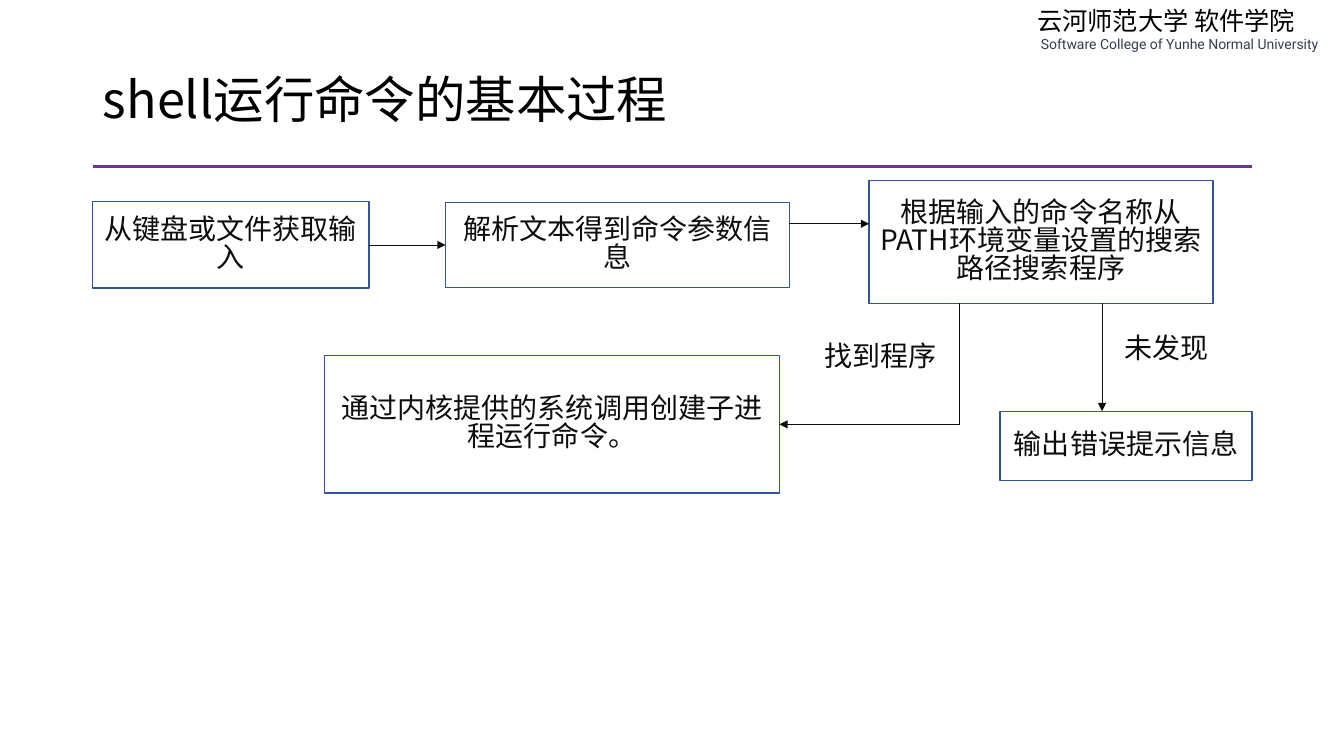
from dataclasses import dataclass

from lxml.etree import SubElement
from pptx import Presentation
from pptx.dml.color import RGBColor
from pptx.enum.shapes import MSO_CONNECTOR, MSO_SHAPE
from pptx.enum.text import MSO_ANCHOR, MSO_AUTO_SIZE, PP_ALIGN
from pptx.oxml.ns import qn
from pptx.util import Inches, Pt


@dataclass(frozen=True)
class Theme:
    black: str = "000000"
    ink: str = "0D0D0D"
    slate: str = "333F50"
    white: str = "FFFFFF"
    border: str = "325491"
    rule: str = "7030A0"
    font: str = "Noto Sans CJK SC"
    school_font: str = "Noto Sans CJK JP"
    english_font: str = "Roboto"
    title_size: int = 36
    box_size: int = 20
    school_size: int = 18
    english_size: int = 10
    tight_spacing: float = 0.84


theme = Theme()
CELL = Inches(0.1)  # side of one grid square


def format_paragraph(paragraph, font, size, color, spacing, align=PP_ALIGN.LEFT):
    paragraph.alignment = align
    paragraph.line_spacing = spacing
    for run in paragraph.runs:
        run.font.name = font
        run.font.size = Pt(size)
        run.font.color.rgb = RGBColor.from_string(color)
        SubElement(run.font._element, qn("a:ea"), typeface=font)


def add_line(slide, start, end, color, width, arrow=False):
    """Draw a straight line between two grid points, given as (column, row)."""
    points = [round(value * CELL) for value in (*start, *end)]
    connector = slide.shapes.add_connector(MSO_CONNECTOR.STRAIGHT, *points)
    connector.line.color.rgb = RGBColor.from_string(color)
    connector.line.width = Pt(width)
    if arrow:
        SubElement(connector.line._get_or_add_ln(), qn("a:tailEnd"), type="triangle")
    SubElement(connector._element.spPr, qn("a:effectLst"))


presentation = Presentation()
presentation.slide_width = Inches(13.33)
presentation.slide_height = Inches(7.5)
slide = presentation.slides.add_slide(presentation.slide_layouts[5])

# School name in the top right corner
school = slide.shapes.add_textbox(*(round(n * CELL) for n in (101.9, 0.5, 30.1, 5.7)))
school.text_frame.word_wrap = True
school.text_frame.text = "云河师范大学 软件学院\nSoftware College of Yunhe Normal University"
chinese_name, english_name = school.text_frame.paragraphs
format_paragraph(chinese_name, theme.school_font, theme.school_size, theme.black,
                 theme.tight_spacing)
format_paragraph(english_name, theme.english_font, theme.english_size, theme.slate, 1.0)
english_name._p.get_or_add_pPr().set("marL", str(Pt(2.5)))

# Title and the rule below it
LEFT, RIGHT = 9.2, 124.2
title = slide.shapes.title
title.left, title.top, title.width, title.height = (
    round(n * CELL) for n in (LEFT, 7.4, RIGHT - LEFT, 7.9))
title.text_frame.text = "shell运行命令的基本过程"
title.text_frame.auto_size = MSO_AUTO_SIZE.NONE
title.text_frame.vertical_anchor = MSO_ANCHOR.TOP
format_paragraph(title.text_frame.paragraphs[0], theme.font, theme.title_size,
                 theme.black, 0.8)
add_line(slide, (LEFT, 16.5), (RIGHT, 16.5), theme.rule, 2.25)

# Steps and branch labels: text, (column, row, columns, rows), border
read_box = (LEFT, 20, 27.4, 8.6)
parse_box = (44.2, 20.1, 34.1, 8.4)
search_box = (86.2, 17.9, 34.1, 12.2)
error_box = (99.2, 40.8, 25, 6.9)
run_box = (32.2, 35.3, 45.1, 13.6)
boxes = [
    ("从键盘或文件获取输入", read_box, theme.border),
    ("解析文本得到命令参数信息", parse_box, theme.border),
    ("根据输入的命令名称从PATH环境变量设置的搜索路径搜索程序", search_box, theme.border),
    ("未发现", (110.2, 32.8, 11, 3.9), theme.white),
    ("输出错误提示信息", error_box, theme.border),
    ("找到程序", (80.4, 33.6, 13.9, 3.9), theme.white),
    ("通过内核提供的系统调用创建子进程运行命令。", run_box, theme.border),
]
for text, place, border in boxes:
    shape = slide.shapes.add_shape(MSO_SHAPE.RECTANGLE, *(round(n * CELL) for n in place))
    shape.shadow.inherit = False
    shape.fill.solid()
    shape.fill.fore_color.rgb = RGBColor.from_string(theme.white)
    shape.line.color.rgb = RGBColor.from_string(border)
    shape.line.width = Pt(1)
    shape.text_frame.text = text
    shape.text_frame.word_wrap = True
    shape.text_frame.vertical_anchor = MSO_ANCHOR.MIDDLE
    format_paragraph(shape.text_frame.paragraphs[0], theme.font, theme.box_size,
                     theme.ink, theme.tight_spacing, PP_ALIGN.CENTER)

# Flow between the steps: start, end, arrowhead
search_bottom = search_box[1] + search_box[3]
found_column, missing_column = 95.2, 109.3
read_row, parse_row, run_row = 24.3, 22.2, 42.1
flows = [
    ((read_box[0] + read_box[2], read_row), (parse_box[0], read_row), True),
    ((parse_box[0] + parse_box[2], parse_row), (search_box[0], parse_row), True),
    ((missing_column, search_bottom), (missing_column, error_box[1]), True),
    ((found_column, search_bottom), (found_column, run_row), False),
    ((found_column, run_row), (run_box[0] + run_box[2], run_row), True),
]
for start, end, arrow in flows:
    add_line(slide, start, end, theme.ink, 0.5, arrow)

presentation.save("out.pptx")
